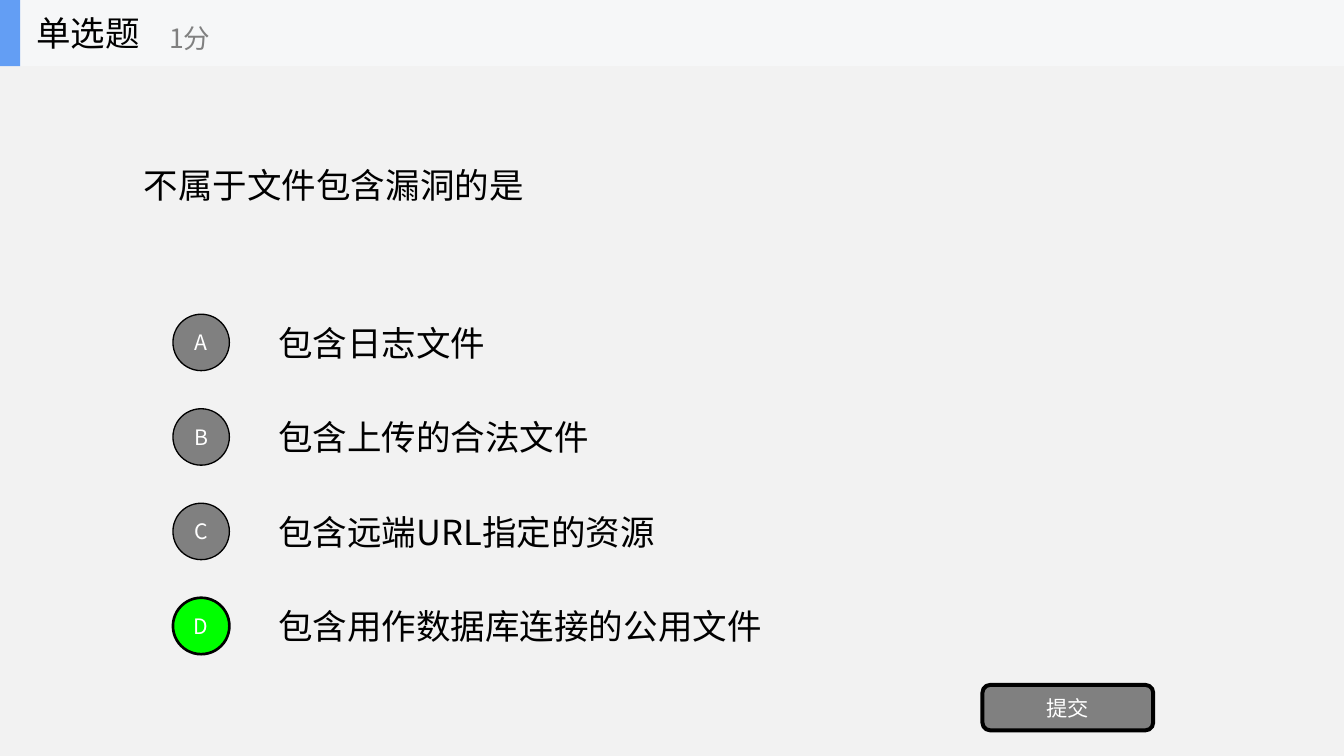
from lxml import etree
from pptx import Presentation
from pptx import util as u
from pptx.dml.color import RGBColor
from pptx.enum import shapes, text
from pptx.oxml.ns import qn

WIDTH, HEIGHT = 14.06, 7.91
FONT = "Noto Sans CJK SC"
COLORS = {
    "background": "F2F2F2",
    "header": "F6F7F8",
    "accent": "639EF4",
    "button": "808080",
    "correct": "00FF00",
    "ink": "000000",
    "white": "FFFFFF",
}
OPTIONS = [
    ("A", "包含日志文件"),
    ("B", "包含上传的合法文件"),
    ("C", "包含远端URL指定的资源"),
    ("D", "包含用作数据库连接的公用文件"),
]
ANSWER = "D"
HEADER_HEIGHT = 8.75
FIRST_ROW_CENTER = 45.3
ROW_STEP = 12.5
BADGE_SIZE = 4.2
OPTION_HEIGHT = 9.4


def color(name):
    return RGBColor.from_string(COLORS[name])


def place(left, top, width, height):
    """Turn percentages of the slide's size into lengths."""
    shares = (left, WIDTH), (top, HEIGHT), (width, WIDTH), (height, HEIGHT)
    return [u.Inches(share * side / 100) for share, side in shares]


def apply_format(target, values):
    for name, value in values.items():
        setattr(target, name, value)


def write(shape, wording, size, ink, alignment=text.PP_ALIGN.LEFT, margin=0.1):
    inset = u.Inches(margin)
    apply_format(shape.text_frame, {
        "word_wrap": True,
        "vertical_anchor": text.MSO_ANCHOR.MIDDLE,
        "margin_left": inset,
        "margin_right": inset,
    })
    paragraph = shape.text_frame.paragraphs[0]
    paragraph.alignment = alignment
    run = paragraph.add_run()
    run.text = wording
    apply_format(run.font, {"name": FONT, "size": u.Pt(size)})
    run.font.color.rgb = color(ink)
    east_asian = etree.SubElement(run.font._element, qn("a:ea"))
    east_asian.set("typeface", FONT)


def add_label(container, box, wording, size=26, ink="ink"):
    write(container.add_textbox(*place(*box)), wording, size, ink)


def add_block(container, kind, box, fill, border=0):
    shape = container.add_shape(kind, *place(*box))
    shape.shadow.inherit = False
    shape.fill.solid()
    shape.fill.fore_color.rgb = color(fill)
    if border:
        shape.line.color.rgb = color("ink")
        shape.line.width = u.Pt(border)
    else:
        shape.line.fill.background()
    return shape


def add_button(container, kind, box, wording, fill, border):
    button = add_block(container, kind, box, fill, border)
    write(button, wording, 16, "white", text.PP_ALIGN.CENTER, 0)


def add_option(container, row, letter, wording):
    center = FIRST_ROW_CENTER + row * ROW_STEP
    badge_height = BADGE_SIZE * WIDTH / HEIGHT
    fill, border = ("correct", 2) if letter == ANSWER else ("button", 1)
    add_label(container, (20, center - OPTION_HEIGHT / 2, 70, OPTION_HEIGHT), wording)
    badge = (12.87, center - badge_height / 2, BADGE_SIZE, badge_height)
    add_button(container, shapes.MSO_SHAPE.OVAL, badge, letter, fill, border)


def add_header(slide):
    header = slide.shapes.add_group_shape().shapes
    for width, fill in ((100, "header"), (1.5, "accent")):
        add_block(header, shapes.MSO_SHAPE.RECTANGLE, (0, 0, width, HEADER_HEIGHT), fill)
    add_label(header, (2, 0, 14.8, HEADER_HEIGHT), "单选题")
    add_label(header, (11.88, 1.5, 17.8, 7.1), "1分", 20, "button")


def main():
    presentation = Presentation()
    apply_format(presentation, {
        "slide_width": u.Inches(WIDTH),
        "slide_height": u.Inches(HEIGHT),
    })
    slide = presentation.slides.add_slide(presentation.slide_layouts[6])
    slide.background.fill.solid()
    slide.background.fill.fore_color.rgb = color("background")
    add_label(slide.shapes, (10, HEADER_HEIGHT, 80, 31.25), "不属于文件包含漏洞的是")
    for row, (letter, wording) in enumerate(OPTIONS):
        add_option(slide.shapes, row, letter, wording)
    add_button(slide.shapes, shapes.MSO_SHAPE.ROUNDED_RECTANGLE,
               (73.1, 90.6, 12.7, 6), "提交", "button", 3)
    add_header(slide)
    presentation.save("out.pptx")


if __name__ == "__main__":
    main()
